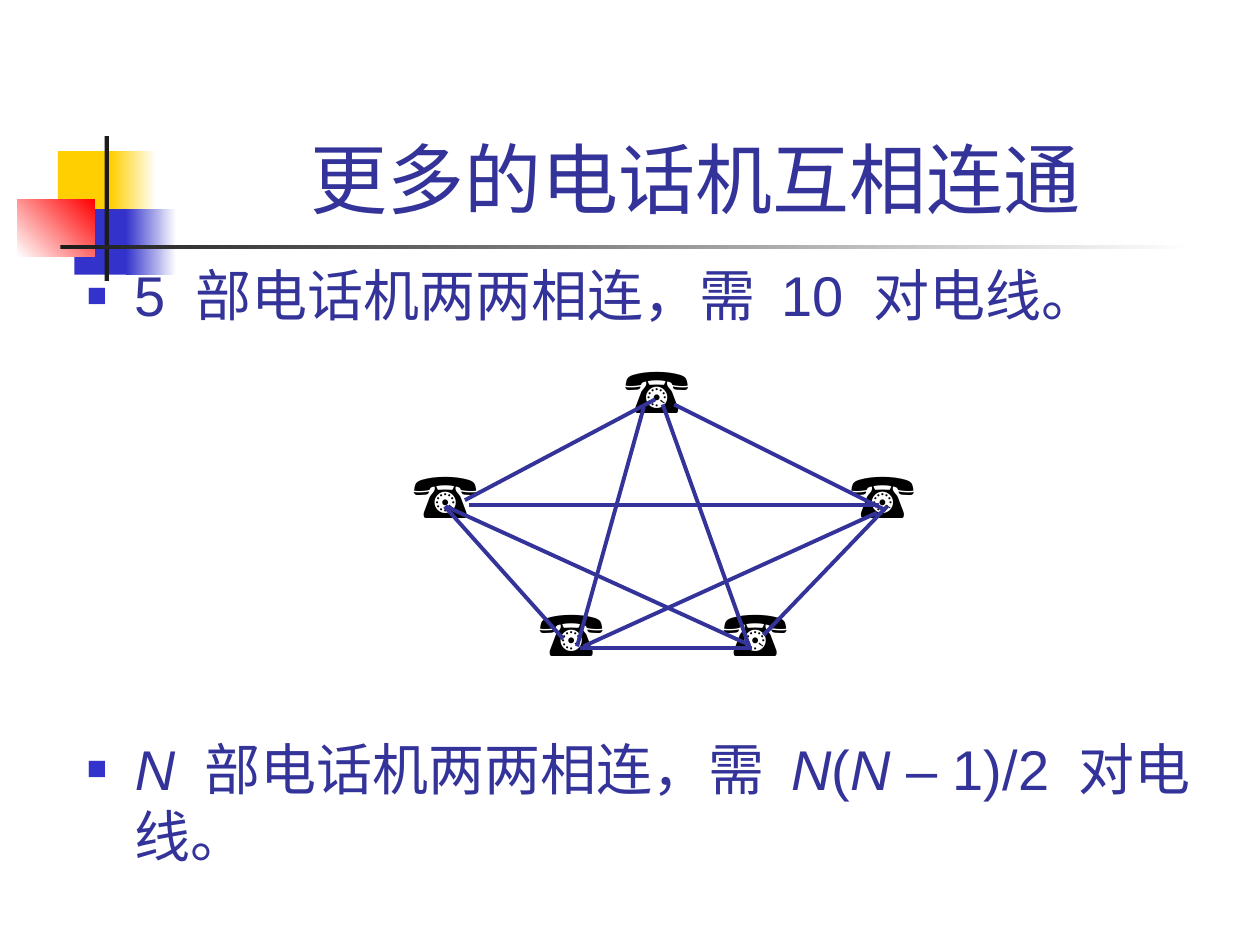
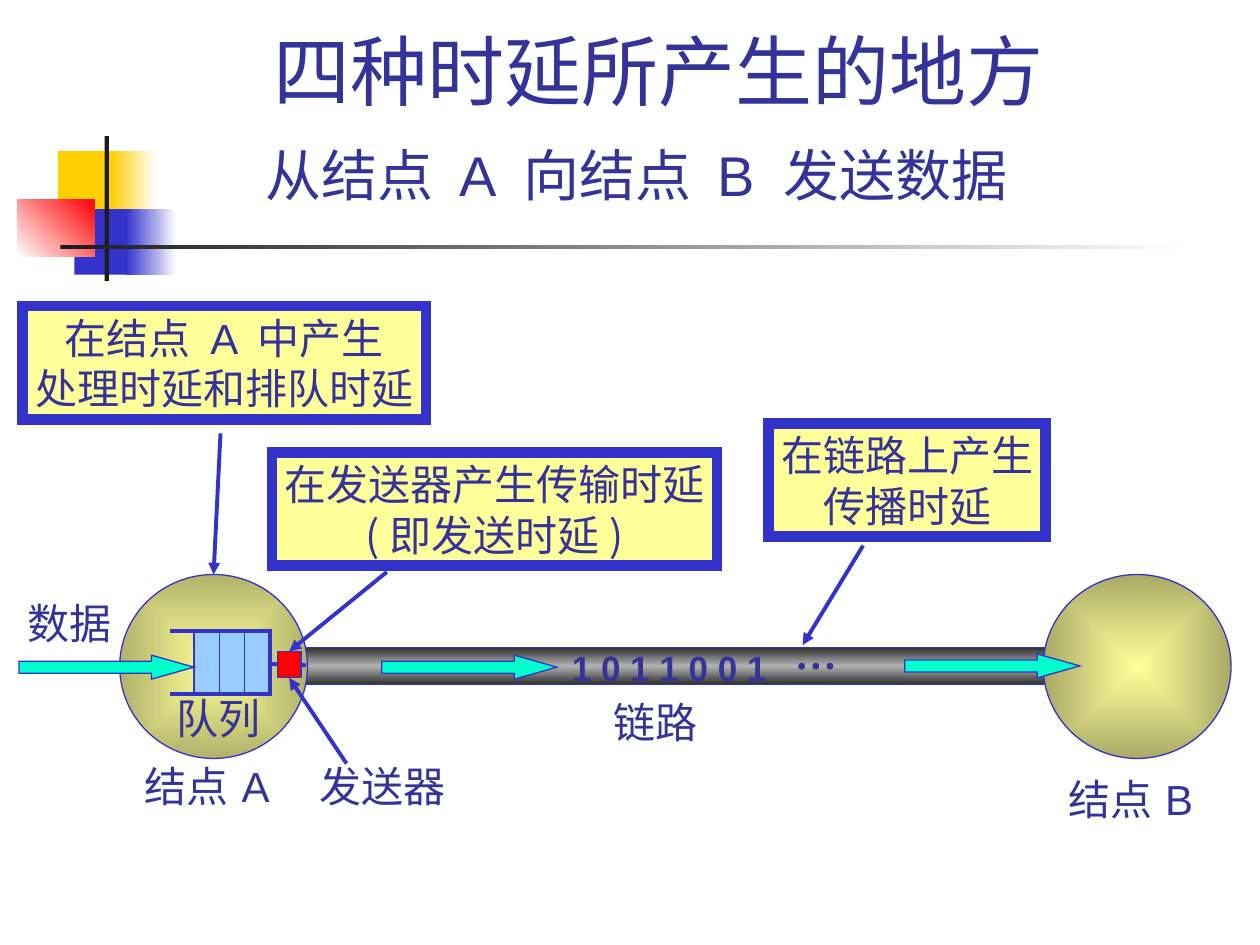
"""Build two slides on fully meshed telephones and on where network delays arise."""
from lxml.etree import SubElement
from pptx import Presentation
from pptx.dml.color import RGBColor
from pptx.enum.shapes import MSO_CONNECTOR as Connector, MSO_SHAPE as Shape
from pptx.enum.text import MSO_ANCHOR as Anchor, MSO_AUTO_SIZE as AutoSize, PP_ALIGN as Align
from pptx.oxml.ns import qn
from pptx.util import Inches, Pt

GRID = Inches(0.1)
TEXT, BLUE, WHITE, BLACK = "333399", "3333CC", "FFFFFF", "000000"
GOLD, RED, CHARCOAL = "FFCF01", "FF0000", "1C1C1C"
CREAM, SKY, MINT = "FFFF99", "99CCFF", "00FFCC"
SANS, SERIF, CHINESE = "Arial", "Times New Roman", "Noto Sans CJK SC"


def grid(*cells):
    """Turn columns and rows of the 100 by 75 slide grid into lengths."""
    return [int(GRID * cell) for cell in cells]


def color(hex_code):
    """Return the colour of a hex string."""
    return RGBColor.from_string(hex_code)


def place(shape, cells):
    """Move and size a shape to its left, top, width and height on the grid."""
    shape.left, shape.top, shape.width, shape.height = grid(*cells)


def add_run(paragraph, text, size, font=SANS, hex_code=TEXT, bold=False, italic=False):
    """Append one formatted run to a paragraph."""
    run = paragraph.add_run()
    run.text = text
    run.font.size, run.font.name = Pt(size), font
    run.font.bold, run.font.italic = bold, italic
    run.font.color.rgb = color(hex_code)
    SubElement(run.font._element, qn("a:ea"), typeface=CHINESE)


def fill_gradient(shape, stops, angle=None):
    """Fill a shape with a linear gradient, or from its centre without an angle."""
    shape.fill.gradient()
    gradient = shape.element.spPr.find(qn("a:gradFill"))
    for child in list(gradient):
        gradient.remove(child)
    stop_list = SubElement(gradient, qn("a:gsLst"))
    for index, hex_code in enumerate(stops):
        position = 100000 * index // (len(stops) - 1)
        stop = SubElement(stop_list, qn("a:gs"), pos=str(position))
        SubElement(stop, qn("a:srgbClr"), val=hex_code)
    if angle is None:
        focus = SubElement(gradient, qn("a:path"), path="rect")
        SubElement(focus, qn("a:fillToRect"), {side: "50000" for side in "ltrb"})
    else:
        SubElement(gradient, qn("a:lin"), ang=str(angle * 60000), scaled="0")


def style_shape(shape, fill=None, line=None, width=0.75):
    """Give a shape a plain fill, a sharp-cornered outline and no shadow."""
    shape.shadow.inherit = False
    if fill:
        shape.fill.solid()
        shape.fill.fore_color.rgb = color(fill)
    else:
        shape.fill.background()
    if line:
        shape.line.color.rgb = color(line)
        shape.line.width = Pt(width)
        SubElement(shape.element.spPr.find(qn("a:ln")), qn("a:miter"), lim="800000")
    else:
        shape.line.fill.background()


def add_block(slide, kind, cells, fill, line=None, width=0.75, angle=None):
    """Draw a preset shape; a list of colours as fill makes a gradient."""
    shape = slide.shapes.add_shape(kind, *grid(*cells))
    if isinstance(fill, list):
        style_shape(shape, None, line, width)
        fill_gradient(shape, fill, angle)
    else:
        style_shape(shape, fill, line, width)
    return shape


def add_line(slide, start, end, hex_code=BLUE, width=2.25, arrow=False, target=None):
    """Draw a straight line, joined at its end to a (shape, site) target."""
    line = slide.shapes.add_connector(Connector.STRAIGHT, *grid(*start, *end))
    line.line.color.rgb = color(hex_code)
    line.line.width = Pt(width)
    properties = line.element.spPr
    if arrow:
        SubElement(properties.find(qn("a:ln")), qn("a:tailEnd"), type="triangle")
    SubElement(properties, qn("a:effectLst"))
    if target:
        line.end_connect(*target)


def add_label(slide, cells, *runs):
    """Add an unwrapped text box made of runs."""
    box = slide.shapes.add_textbox(*grid(*cells))
    box.text_frame.word_wrap = False
    box.text_frame.auto_size = AutoSize.SHAPE_TO_FIT_TEXT
    for run in runs:
        add_run(box.text_frame.paragraphs[0], *run)


def add_callout(slide, cells, *lines):
    """Draw a framed yellow note with centred lines, each a list of runs."""
    note = add_block(slide, Shape.RECTANGLE, cells, CREAM, BLUE, 6)
    frame = note.text_frame
    frame.word_wrap = False
    for index, runs in enumerate(lines):
        paragraph = frame.add_paragraph() if index else frame.paragraphs[0]
        paragraph.alignment = Align.CENTER
        for text, font in runs:
            add_run(paragraph, text, 24, font)


def add_flow_arrow(slide, left, top):
    """Draw a data arrow at a grid position."""
    arrow = add_block(slide, Shape.RIGHT_ARROW, (left, top, 13.9, 1.9), MINT, BLUE)
    arrow.adjustments[0], arrow.adjustments[1] = 0.5, 1.78


def set_title(slide, text, cells):
    """Fill, place and format the title placeholder."""
    title = slide.shapes.title
    place(title, cells)
    frame = title.text_frame
    frame.vertical_anchor, frame.auto_size = Anchor.BOTTOM, AutoSize.NONE
    frame.paragraphs[0].alignment = Align.CENTER
    add_run(frame.paragraphs[0], text, 44)


def add_bullet(paragraph, space_before):
    """Give a paragraph a square bullet, hanging indent and space before."""
    paragraph.space_before = Pt(space_before)
    properties = paragraph._p.get_or_add_pPr()
    properties.set("marL", str(Inches(0.38)))
    properties.set("indent", str(-Inches(0.38)))
    bullet_color = SubElement(properties, qn("a:buClr"))
    SubElement(bullet_color, qn("a:srgbClr"), val=BLUE)
    SubElement(properties, qn("a:buSzPct"), val="60000")
    SubElement(properties, qn("a:buFont"), typeface=SANS)
    SubElement(properties, qn("a:buChar"), char="■")


def decorate_master(presentation, slide):
    """Draw the coloured squares and rules once and move them to the master."""
    pieces = [
        ((4.6, 12, 4.8, 5.2), GOLD, 0),
        ((8.8, 12, 3.6, 5.2), [GOLD, WHITE], 0),
        ((5.9, 16.6, 4.6, 5.2), BLUE, 0),
        ((10, 16.6, 4, 5.2), [BLUE, WHITE], 0),
        ((1.4, 15.8, 6.1, 4.6), [WHITE, RED], 315),
        ((8.3, 10.8, 0.35, 11.5), CHARCOAL, 0),
        ((4.8, 19.45, 90, 0.35), [CHARCOAL, WHITE], 0),
    ]
    tree = presentation.slide_master.shapes.element
    for number, (cells, fill, angle) in enumerate(pieces, 20):
        piece = add_block(slide, Shape.RECTANGLE, cells, fill, angle=angle)
        piece.element.nvSpPr.cNvPr.set("id", str(number))
        tree.append(piece.element)


def build_telephones(slide):
    """Show five telephones joined in pairs and the general rule."""
    set_title(slide, "更多的电话机互相连通", (12.6, 2.3, 85.2, 16))
    body = slide.placeholders[1]
    place(body, (5.9, 20.2, 92.5, 52.9))
    frame = body.text_frame
    frame.auto_size = AutoSize.NONE
    first, rule = frame.paragraphs[0], frame.add_paragraph()
    add_bullet(first, 0)
    add_run(first, "5 部电话机两两相连，需 10 对电线。", 32)
    add_bullet(rule, 232)
    for text, italic in (("N ", True), ("部电话机两两相连，需 ", False), ("N", True),
                         ("(", False), ("N", True), (" – 1)/2 对电线。", False)):
        add_run(rule, text, 32, italic=italic)

    for left, top in ((48.6, 27.3), (31.8, 35.7), (41.8, 46.6), (66.5, 35.7), (56.4, 46.6)):
        add_label(slide, (left, top, 8.5, 7), ("☎", 36, SANS, BLACK))
    wires = [
        ((36.9, 39.7), (52, 31.7)), ((53.5, 32.1), (70.3, 40.5)),
        ((35.3, 40.2), (44.7, 50.7)), ((46, 51.4), (59.7, 51.4)),
        ((60.6, 50.4), (70.4, 40.2)), ((52.6, 32.1), (59.5, 51.4)),
        ((51.1, 32.3), (45.8, 51.3)), ((37.2, 40.1), (69.8, 40.1)),
        ((35.4, 40.2), (59.5, 51.2)), ((46.3, 51.3), (69.6, 40.7)),
    ]
    for start, end in wires:
        add_line(slide, start, end, TEXT)


def add_queue(slide):
    """Draw the queue in node A: an open frame with three waiting cells."""
    left, right, top, bottom = 13.5, 21.4, 50.1, 55.1
    first_cell, cell_width = 15.4, 2
    add_block(slide, Shape.RECTANGLE, (first_cell, top, 5.9, bottom - top), SKY, BLUE)
    builder = slide.shapes.build_freeform(*grid(left, top))
    corners = ((right, top), (right, bottom), (left, bottom))
    builder.add_line_segments([grid(*corner) for corner in corners], close=False)
    style_shape(builder.convert_to_shape(), None, BLUE, 2.25)
    for index in range(3):
        column = first_cell + index * cell_width
        add_line(slide, (column, top), (column, bottom), width=0.75)


def build_delays(slide):
    """Show where the four delays arise between node A and node B."""
    set_title(slide, "四种时延所产生的地方 ", (13.8, 1.3, 78.4, 8.4))
    add_block(slide, Shape.RECTANGLE, (23.4, 51.4, 60.4, 2.9),
              ["313131", "B2B2B2", "313131"], BLUE, angle=90)
    node_a, _ = [add_block(slide, Shape.OVAL, (left, 45.6, 14.9, 14.6), [CREAM, edge], BLUE)
                 for left, edge in ((9.5, "B2B26B"), (82.8, "AAAA66"))]
    add_queue(slide)
    add_line(slide, (21.3, 52.7), (24.3, 52.8))
    sender = add_block(slide, Shape.RECTANGLE, (22, 51.7, 1.9, 2.1), RED, BLUE)
    for left, top in ((30.3, 52), (1.5, 52), (71.8, 51.9)):
        add_flow_arrow(slide, left, top)

    add_label(slide, (44.4, 50.8, 17.5, 4.4), ("1 0 1 1 0 0 1", 20, SANS, TEXT, True))
    add_label(slide, (62.1, 49.3, 5.3, 5), ("…", 24, SERIF, TEXT, True))
    for text, left, top, width in (("发送器", 24.4, 59.9, 12.4), ("队列", 13, 54.5, 9),
                                   ("数据", 1.2, 46.9, 9), ("链路", 47.7, 54.8, 9)):
        add_label(slide, (left, top, width, 5), (text, 24, SERIF))
    for name, left, top in (("A", 10.5, 59.9), ("B", 83.8, 60.9)):
        add_label(slide, (left, top, 12.5, 5),
                  ("结点", 24, SERIF), (" ", 16), (name, 24))
    add_label(slide, (20.1, 10.7, 63.6, 6.4), ("从结点 A 向结点 B 发送数据", 32))

    add_callout(slide, (61, 33.6, 22, 9), [("在链路上产生", CHINESE)], [("传播时延", CHINESE)])
    add_callout(slide, (21.6, 35.9, 35.3, 9),
                [("在发送器产生传输时延", CHINESE)], [("(即发送时延)", CHINESE)])
    add_callout(slide, (1.8, 24.3, 32, 9),
                [("在结点 ", CHINESE), ("A ", SANS), ("中产生", CHINESE)],
                [("处理时延和排队时延", CHINESE)])
    for start, end, target in (((68.5, 43.3), (63.7, 51.2), None),
                               ((30.7, 45.4), (22.8, 52), (sender, 0)),
                               ((27.5, 60.6), (22.8, 53.6), (sender, 2)),
                               ((17.5, 34.4), (16.9, 45.4), (node_a, 0))):
        add_line(slide, start, end, arrow=True, target=target)


def main():
    """Build and save the presentation."""
    presentation = Presentation()
    presentation.slide_width, presentation.slide_height = grid(100, 75)
    layouts = presentation.slide_layouts
    telephones = presentation.slides.add_slide(layouts.get_by_name("Title and Content"))
    delays = presentation.slides.add_slide(layouts.get_by_name("Title Only"))
    decorate_master(presentation, telephones)
    build_telephones(telephones)
    build_delays(delays)
    presentation.save("out.pptx")


if __name__ == "__main__":
    main()
